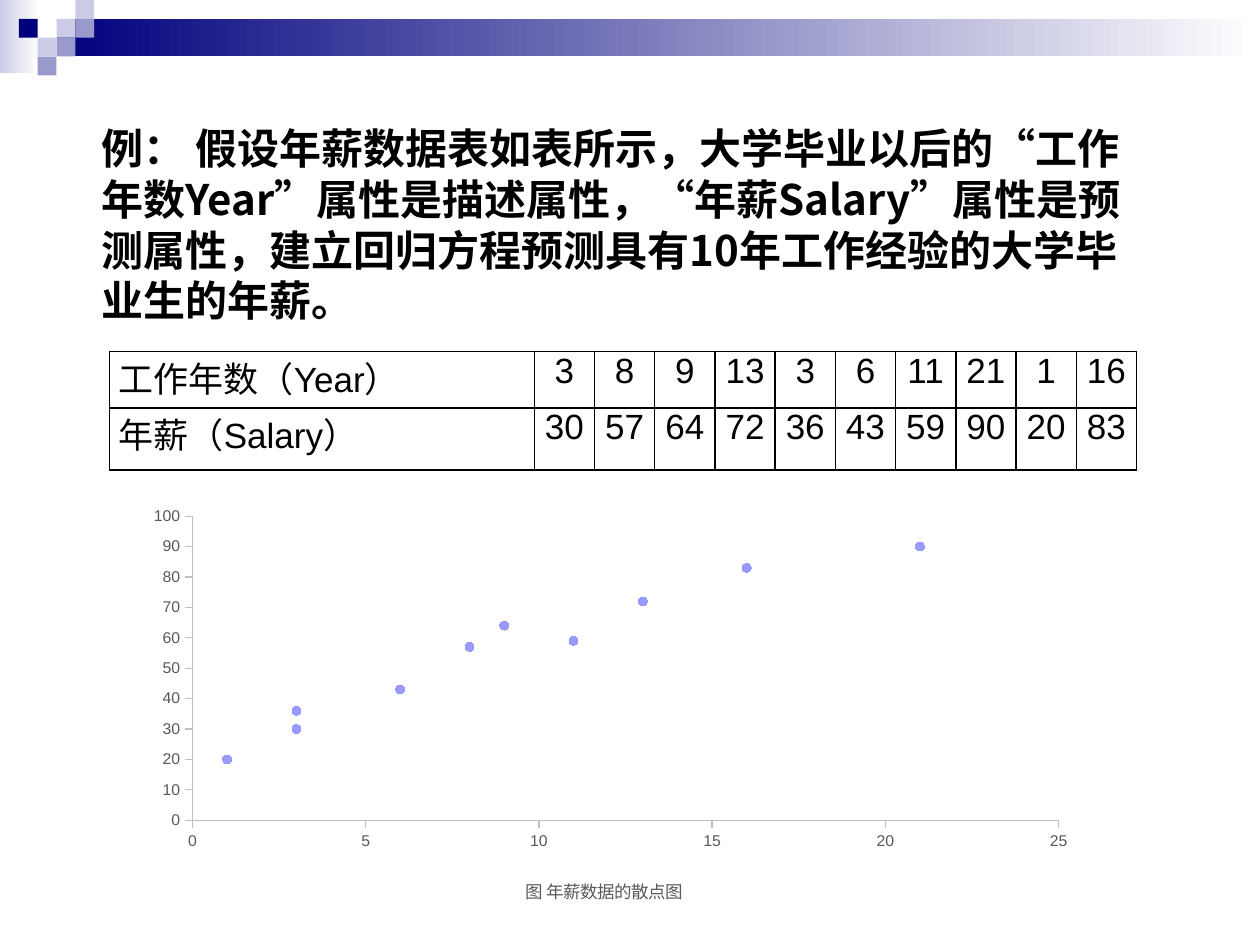
from lxml import etree
from pptx import Presentation
from pptx.chart.data import XyChartData
from pptx.dml.color import RGBColor
from pptx.enum.chart import XL_CHART_TYPE, XL_MARKER_STYLE, XL_TICK_MARK
from pptx.enum.shapes import MSO_SHAPE
from pptx.enum.text import PP_ALIGN
from pptx.oxml import parse_xml
from pptx.oxml.ns import nsdecls, qn
from pptx.util import Cm, Pt

RECT = MSO_SHAPE.RECTANGLE
SCATTER = XL_CHART_TYPE.XY_SCATTER
CIRCLE = XL_MARKER_STYLE.CIRCLE
OUTSIDE = XL_TICK_MARK.OUTSIDE
CENTER, JUSTIFY = PP_ALIGN.CENTER, PP_ALIGN.JUSTIFY

BLACK = RGBColor(0x00, 0x00, 0x00)
WHITE = RGBColor(0xFF, 0xFF, 0xFF)
NAVY = RGBColor(0x00, 0x00, 0x7D)
LAVENDER = RGBColor(0xCC, 0xCC, 0xE6)
VIOLET = RGBColor(0x99, 0x99, 0xCC)
DOT = RGBColor(0x99, 0x99, 0xFF)
GREY = RGBColor(0x59, 0x59, 0x59)
AXIS_GREY = RGBColor(0xBF, 0xBF, 0xBF)

LATIN, CJK = "Arial", "Noto Sans CJK SC"
YEARS = [3, 8, 9, 13, 3, 6, 11, 21, 1, 16]
SALARIES = [30, 57, 64, 72, 36, 43, 59, 90, 20, 83]
QUESTION = ("例： 假设年薪数据表如表所示，大学毕业以后的“工作年数Year”属性是描述属性，"
            "“年薪Salary”属性是预测属性，建立回归方程预测具有10年工作经验的大学毕业生的年薪。")


def add_run(p, text, size, color, latin=LATIN, bold=False):
    """Add a run with its Latin and East Asian fonts."""
    r = p.add_run()
    r.text = text
    r.font.size, r.font.bold, r.font.name = Pt(size), bold, latin
    r.font.color.rgb = color
    etree.SubElement(r.font._element, qn("a:ea")).set("typeface", CJK)


def add_rect(s, x, y, w, h, color, fade=False):
    """Add a borderless rectangle, plain or fading to white."""
    sp = s.shapes.add_shape(RECT, Cm(x), Cm(y), Cm(w), Cm(h))
    sp.shadow.inherit = False
    sp.line.fill.background()
    if fade:
        sp.fill.gradient()
        sp.fill.gradient_angle = 0
        for stop, rgb in zip(sp.fill.gradient_stops, (color, WHITE)):
            stop.color.rgb = rgb
    else:
        sp.fill.solid()
        sp.fill.fore_color.rgb = color


def add_banner(s, x, y, w, unit):
    """Draw the fading bar and the mosaic of squares."""
    add_rect(s, x, y, 0.79, 1.47, LAVENDER, fade=True)
    add_rect(s, x + 3 * unit, y + unit, w - 3 * unit, 2 * unit, NAVY, fade=True)
    squares = [(3, 1, LAVENDER), (4, 0, LAVENDER), (4, 1, VIOLET), (2, 2, LAVENDER),
               (1, 1, NAVY), (3, 2, VIOLET), (2, 3, VIOLET)]
    for col, row, color in squares:
        add_rect(s, x + col * unit, y + row * unit, unit, unit, color)


def add_question(s, x, y, w, h):
    """Write the example question."""
    tf = s.shapes.add_textbox(Cm(x), Cm(y), Cm(w), Cm(h)).text_frame
    tf.word_wrap = True
    p = tf.paragraphs[0]
    p.line_spacing = Pt(29)
    add_run(p, QUESTION, 24, BLACK, CJK, bold=True)


def style_cell(cell):
    """Clear the fill, set the margins and draw the borders."""
    cell.fill.background()
    cell.margin_left = cell.margin_right = Cm(0.18)
    cell.margin_top = cell.margin_bottom = 0
    tc_pr = cell._tc.get_or_add_tcPr()
    for i, side in enumerate("LRTB"):
        tc_pr.insert(i, parse_xml(
            f'<a:ln{side} {nsdecls("a")} w="12700"><a:solidFill>'
            f'<a:srgbClr val="{BLACK}"/></a:solidFill></a:ln{side}>'))


def add_data_table(s, x, y, w, h):
    """Tabulate the years of work and the salaries."""
    rows = [["工作年数（Year）", *YEARS], ["年薪（Salary）", *SALARIES]]
    label_w = 8.56
    table = s.shapes.add_table(2, len(rows[0]), Cm(x), Cm(y), Cm(w), Cm(h)).table
    for i, col in enumerate(table.columns):
        col.width = Cm((w - label_w) / len(YEARS) if i else label_w)
    table.rows[0].height, table.rows[1].height = Cm(1.14), Cm(h - 1.14)
    for i, values in enumerate(rows):
        for j, value in enumerate(values):
            cell = table.cell(i, j)
            style_cell(cell)
            p = cell.text_frame.paragraphs[0]
            p.alignment = CENTER if j else JUSTIFY
            add_run(p, str(value), 20, BLACK)


def set_layout(parent, index, **parts):
    """Give a chart part a manual layout."""
    for old in parent.findall(qn("c:layout")):
        parent.remove(old)
    items = "".join(f'<c:{k} val="{v}"/>' for k, v in parts.items())
    parent.insert(index, parse_xml(
        f'<c:layout {nsdecls("c")}><c:manualLayout>{items}</c:manualLayout></c:layout>'))


def style_axis(axis, top, step):
    """Scale an axis and set its line, ticks and labels."""
    axis.minimum_scale, axis.maximum_scale, axis.major_unit = 0, top, step
    axis.has_major_gridlines = False
    axis.major_tick_mark = OUTSIDE
    axis.format.line.color.rgb = AXIS_GREY
    axis.format.line.width = Pt(0.75)
    font = axis.tick_labels.font
    font.size, font.name = Pt(9), LATIN
    font.color.rgb = GREY


def add_scatter(s, x, y, w, h):
    """Plot salary against years of work."""
    data = XyChartData()
    series = data.add_series("Series 1")
    for year, salary in zip(YEARS, SALARIES):
        series.add_data_point(year, salary)
    chart = s.shapes.add_chart(SCATTER, Cm(x), Cm(y), Cm(w), Cm(h), data).chart
    chart.has_legend = False
    chart.font.size, chart.font.name = Pt(10), LATIN
    chart.font.color.rgb = BLACK
    style_axis(chart.category_axis, 25, 5)
    style_axis(chart.value_axis, 100, 10)

    plot = chart.plots[0]
    plot.vary_by_categories = False
    dots = plot.series[0]
    dots.smooth = False
    dots.format.line.fill.background()
    dots.marker.style, dots.marker.size = CIRCLE, 5
    dots.marker.format.fill.solid()
    dots.marker.format.fill.fore_color.rgb = DOT
    dots.marker.format.line.color.rgb = DOT

    title = chart.chart_title
    add_run(title.text_frame.paragraphs[0], "图 年薪数据的散点图", 10, GREY)
    set_layout(title._element, 1, xMode="edge", yMode="edge", x=0.39, y=0.93)
    root = chart._chartSpace
    set_layout(root.chart.plotArea, 0, layoutTarget="inner", xMode="edge",
               yMode="edge", x=0.04, y=0.06, w=0.92, h=0.74)
    root.chart.addnext(parse_xml(
        f'<c:spPr {nsdecls("c", "a")}><a:solidFill><a:srgbClr val="{WHITE}"/>'
        '</a:solidFill><a:ln><a:noFill/></a:ln></c:spPr>'))


def main():
    """Build the slide."""
    prs = Presentation()
    prs.slide_width, prs.slide_height = Cm(25.4), Cm(19.05)
    s = prs.slides.add_slide(prs.slide_layouts[6])
    add_banner(s, 0, 0, 25.4, 0.38)
    add_question(s, 1.8, 2.34, 21.6, 4.37)
    add_data_table(s, 2.21, 7.09, 20.7, 2.39)
    add_scatter(s, 3.1, 9.91, 19, 8.41)
    prs.save("out.pptx")


if __name__ == "__main__":
    main()
